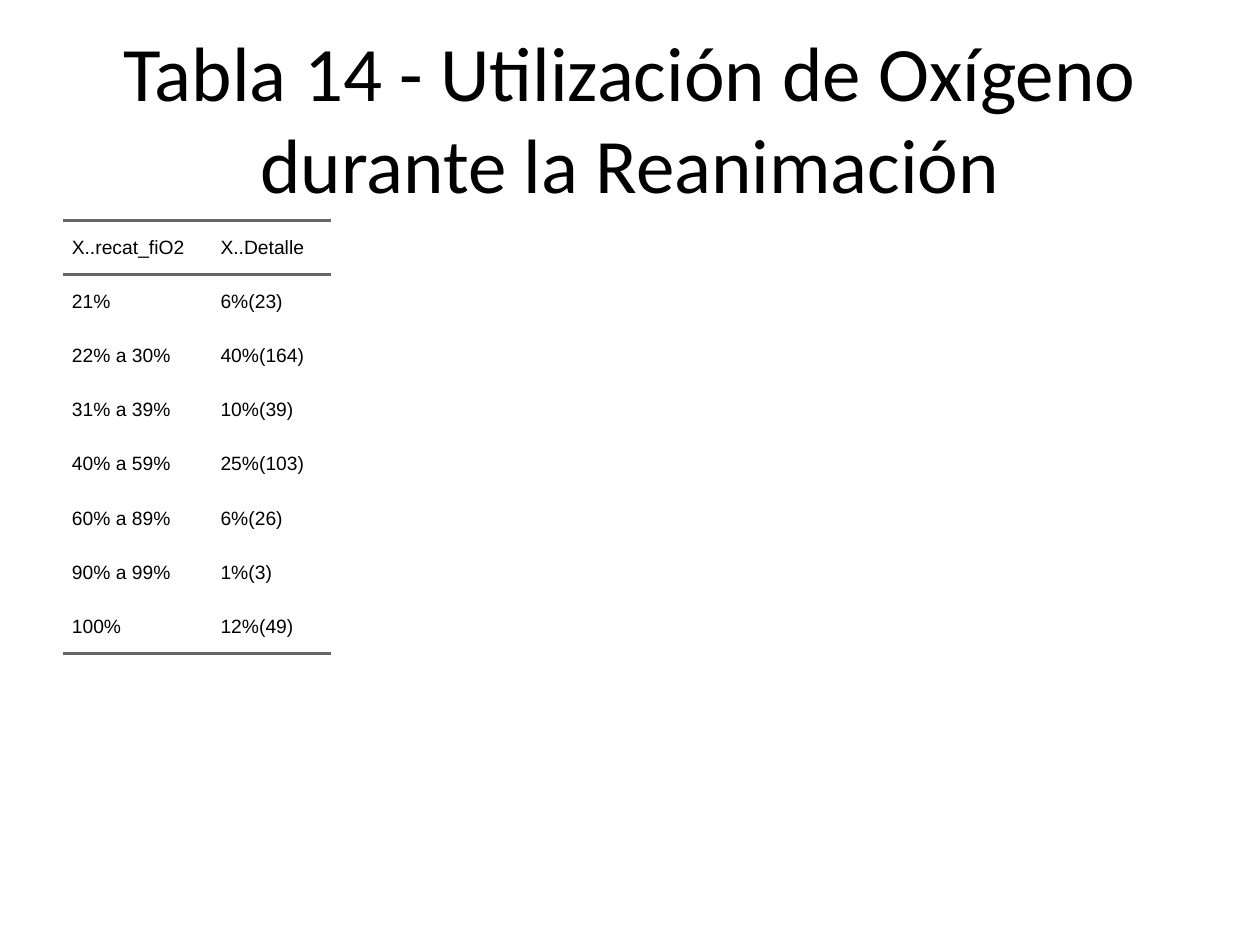
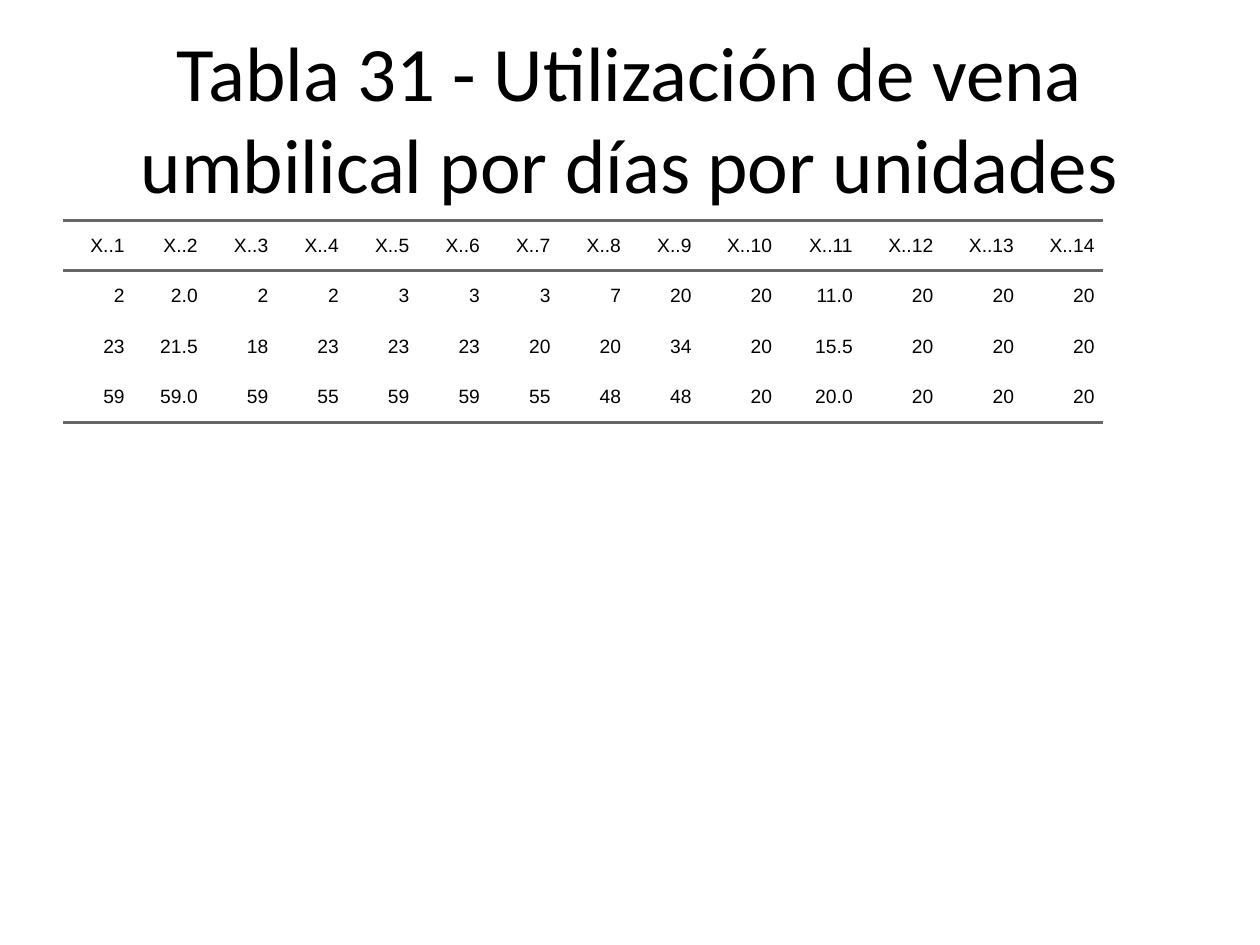
from pptx import Presentation, util as u
from pptx.dml.color import RGBColor
from pptx.enum import text
from pptx.oxml.ns import qn
from lxml import etree

INK, RULE = "000000", "666666"
NO_STYLE = "{2D5ABB26-0587-4C30-8999-92F81FD0307C}"
LEFT, RIGHT = text.PP_ALIGN.LEFT, text.PP_ALIGN.RIGHT


def add_run(p, words, font, size):
    r = p.add_run()
    r.text = words
    r.font.name, r.font.size = font, u.Pt(size)
    r.font.color.rgb = RGBColor.from_string(INK)


def add_rule(cell, edge):
    ln = etree.SubElement(cell._tc.get_or_add_tcPr(), qn("a:" + edge),
                          w=str(u.Pt(2)))
    fill = etree.SubElement(ln, qn("a:solidFill"))
    etree.SubElement(fill, qn("a:srgbClr"), val=RULE)


# Title, alignment, row height, column widths and rows of each slide
oxygen = [
    ("X..recat_fiO2", "X..Detalle"),
    ("21%", "6%(23)"),
    ("22% a 30%", "40%(164)"),
    ("31% a 39%", "10%(39)"),
    ("40% a 59%", "25%(103)"),
    ("60% a 89%", "6%(26)"),
    ("90% a 99%", "1%(3)"),
    ("100%", "12%(49)"),
]
vein = [
    [f"X..{n}" for n in range(1, 15)],
    "2 2.0 2 2 3 3 3 7 20 20 11.0 20 20 20".split(),
    "23 21.5 18 23 23 23 20 20 34 20 15.5 20 20 20".split(),
    "59 59.0 59 55 59 59 55 48 48 20 20.0 20 20 20".split(),
]
slides = [
    ("Tabla 14 - Utilización de Oxígeno durante la Reanimación",
     LEFT, 0.43, [1.18, 0.95], oxygen),
    ("Tabla 31 - Utilización de vena umbilical por días por unidades",
     RIGHT, 0.4, [0.56, 0.58] + [0.56] * 7 + [0.64] * 5, vein),
]

prs = Presentation()
prs.slide_width, prs.slide_height = u.Inches(10), u.Inches(7.5)

for title, align, row_height, widths, rows in slides:
    s = prs.slides.add_slide(prs.slide_layouts[6])

    # Title
    tf = s.shapes.add_textbox(u.Inches(0.5), u.Inches(0.3),
                              u.Inches(9), u.Inches(1.25)).text_frame
    tf.word_wrap = True
    tf.vertical_anchor = text.MSO_ANCHOR.MIDDLE
    p = tf.paragraphs[0]
    p.alignment = text.PP_ALIGN.CENTER
    add_run(p, title, "Calibri", 44)

    # Table without style
    table = s.shapes.add_table(
        len(rows), len(widths), u.Inches(0.5), u.Inches(1.75),
        u.Inches(sum(widths)), u.Inches(row_height * len(rows))).table
    table.first_row = table.horz_banding = False
    table._tbl.tblPr.find(qn("a:tableStyleId")).text = NO_STYLE
    for column, width in zip(table.columns, widths):
        column.width = u.Inches(width)

    for i, row in enumerate(rows):
        table.rows[i].height = u.Inches(row_height)
        for j, words in enumerate(row):
            cell = table.cell(i, j)
            cell.margin_left = cell.margin_right = 0
            cell.margin_top = cell.margin_bottom = 0
            cell.vertical_anchor = text.MSO_ANCHOR.MIDDLE

            # Rules above and below the header and under the last row
            if i == 0:
                add_rule(cell, "lnT")
            if i in (0, len(rows) - 1):
                add_rule(cell, "lnB")
            cell.fill.background()

            p = cell.text_frame.paragraphs[0]
            p.alignment = align
            p.space_before = p.space_after = u.Pt(5)
            pPr = p._p.get_or_add_pPr()
            for side in ("marL", "marR"):
                pPr.set(side, str(u.Inches(0.07)))
            add_run(p, words, "Arial", 11)

prs.save("out.pptx")
